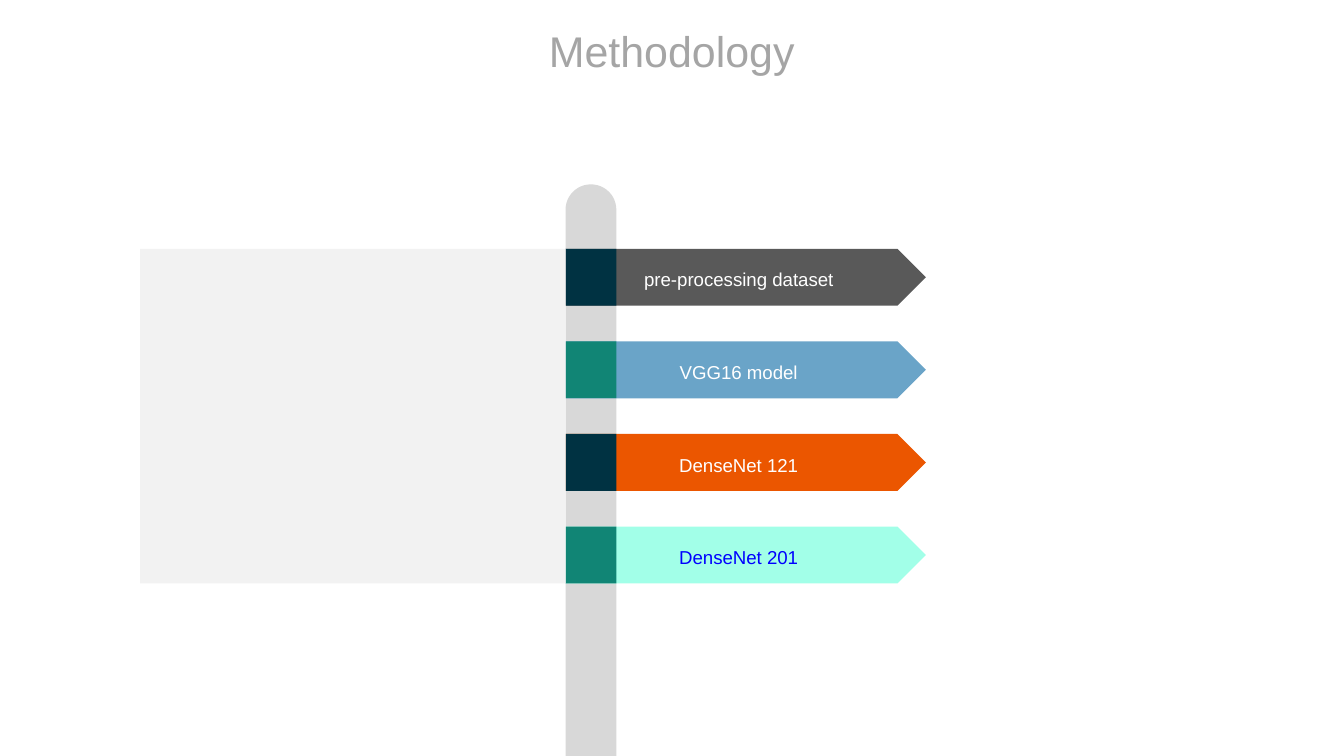
from dataclasses import dataclass

from pptx import Presentation
from pptx.dml.color import RGBColor
from pptx.enum.shapes import MSO_SHAPE as Shape
from pptx.enum.text import MSO_ANCHOR as Anchor, PP_ALIGN as Align
from pptx.util import Pt


@dataclass(frozen=True)
class Theme:
    font: str = "Arial"
    title_size: float = 23
    label_size: float = 10
    title: str = "A5A5A5"
    pillar: str = "D8D8D8"
    panel: str = "F2F2F2"
    tabs: tuple = ("003242", "118575")


@dataclass(frozen=True)
class Box:
    left: float
    top: float
    width: float
    height: float

    def points(self):
        return [Pt(n) for n in (self.left, self.top, self.width, self.height)]


THEME = Theme()
STEPS = [  # label, bar colour, label colour
    ("pre-processing dataset", "595959", "FFFFFF"),
    ("VGG16 model", "6AA4C8", "FFFFFF"),
    ("DenseNet 121", "EB5600", "FFFFFF"),
    ("DenseNet 201", "A2FFE8", "0000FF"),
]
STEP_HEIGHT = 30.5
STEP_PITCH = 49.6


def add_filled(shapes, kind, box, color):
    shape = shapes.add_shape(kind, *box.points())
    shape.shadow.inherit = False
    shape.fill.solid()
    shape.fill.fore_color.rgb = RGBColor.from_string(color)
    shape.line.fill.background()
    return shape


def set_text(shape, text, size, color, margins=(0, 0), spacing=None):
    """Write one centred line; margins are horizontal and vertical."""
    frame = shape.text_frame
    frame.word_wrap = True
    frame.vertical_anchor = Anchor.MIDDLE
    frame.margin_left = frame.margin_right = Pt(margins[0])
    frame.margin_top = frame.margin_bottom = Pt(margins[1])
    frame.text = text
    line = frame.paragraphs[0]
    line.alignment = Align.CENTER
    line.line_spacing = spacing
    line.font.name = THEME.font
    line.font.size = Pt(size)
    line.font.color.rgb = RGBColor.from_string(color)


def add_title(shapes, box):
    title = shapes.add_textbox(*box.points())
    set_text(title, "Methodology", THEME.title_size, THEME.title)


def add_pillar(shapes, box):
    pillar = add_filled(shapes, Shape.ROUND_2_SAME_RECTANGLE, box, THEME.pillar)
    pillar.adjustments[0] = 0.5
    pillar.adjustments[1] = 0


def add_step(shapes, box, tab_width, step, tab_color):
    """Group an arrow bar with the tab that covers its left end."""
    label, bar_color, label_color = step
    group = shapes.add_group_shape().shapes
    bar = add_filled(group, Shape.PENTAGON, box, bar_color)
    bar.adjustments[0] = 0.5
    set_text(bar, label, THEME.label_size, label_color, (5, 2.5), 1.2)
    add_filled(group, Shape.RECTANGLE,
               Box(box.left, box.top, tab_width, box.height), tab_color)


def add_roadmap(shapes, box, pillar_left, pillar_width, first_step):
    """Place the pillar, its step arrows and the panel on their left.

    pillar_left and first_step are offsets from the box corner.
    """
    spine = box.left + pillar_left
    steps_top = box.top + first_step
    add_pillar(shapes, Box(spine, box.top, pillar_width, box.height))
    for i, step in enumerate(STEPS):
        bar = Box(spine, steps_top + i * STEP_PITCH,
                  box.width - pillar_left, STEP_HEIGHT)
        add_step(shapes, bar, pillar_width, step, THEME.tabs[i % len(THEME.tabs)])
    steps_height = (len(STEPS) - 1) * STEP_PITCH + STEP_HEIGHT
    add_filled(shapes, Shape.RECTANGLE,
               Box(box.left, steps_top, pillar_left, steps_height), THEME.panel)


def main():
    deck = Presentation()
    deck.slide_width, deck.slide_height = Pt(720), Pt(405)
    shapes = deck.slides.add_slide(deck.slide_layouts[6]).shapes
    add_roadmap(shapes, Box(75, 98.8, 421, 306.2),
                pillar_left=228, pillar_width=27.2, first_step=34.5)
    add_title(shapes, Box(249.5, 13, 221, 27.5))
    deck.save("out.pptx")


if __name__ == "__main__":
    main()
